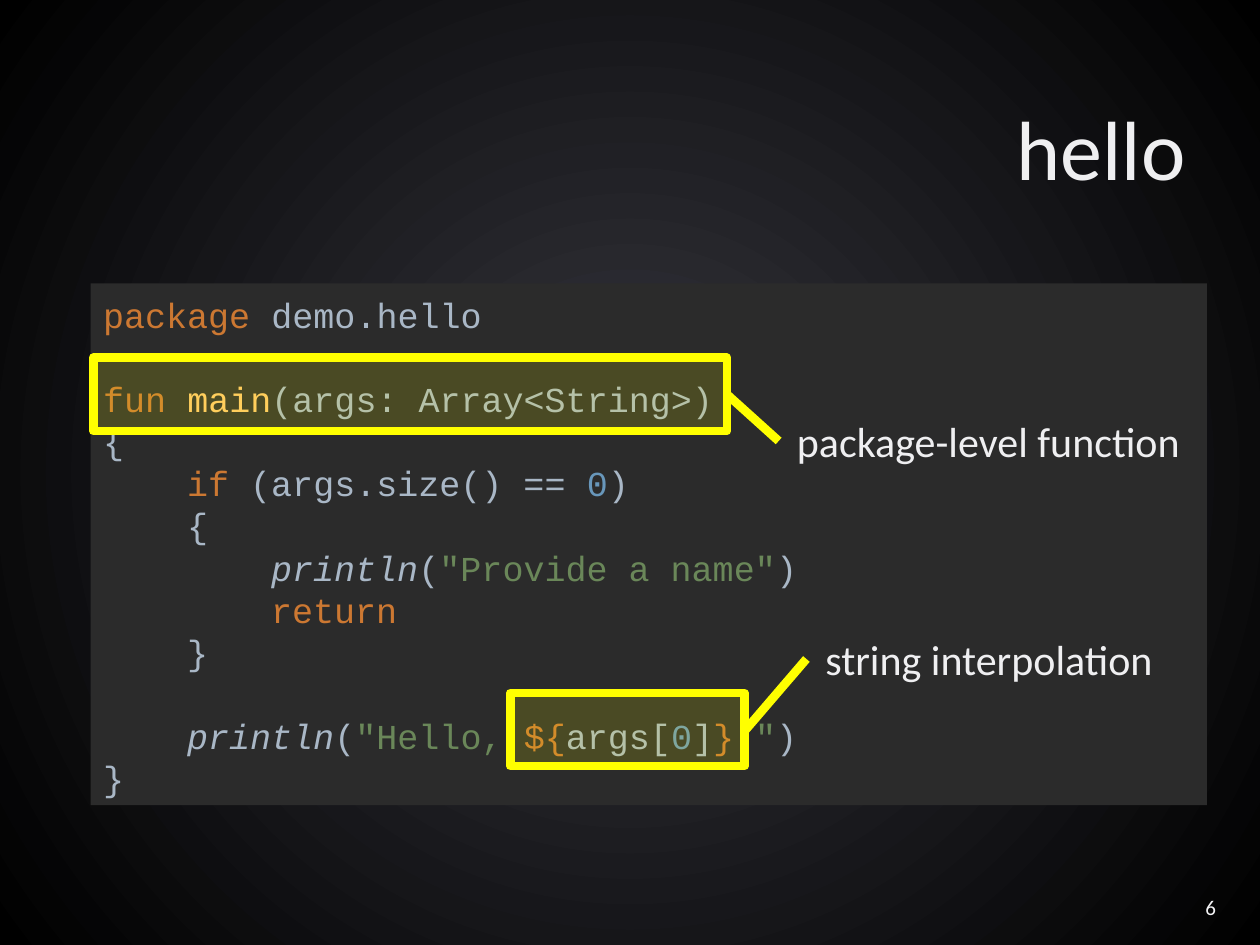
from lxml import etree
from pptx import Presentation
from pptx.dml.color import RGBColor
from pptx.enum.shapes import MSO_CONNECTOR, MSO_SHAPE
from pptx.enum.text import MSO_ANCHOR, MSO_AUTO_SIZE, PP_ALIGN
from pptx.oxml.ns import qn
from pptx.util import Inches, Pt

RECT, STRAIGHT = MSO_SHAPE.RECTANGLE, MSO_CONNECTOR.STRAIGHT
LEFT, CENTER, RIGHT = PP_ALIGN.LEFT, PP_ALIGN.CENTER, PP_ALIGN.RIGHT
MIDDLE, BOTTOM = MSO_ANCHOR.MIDDLE, MSO_ANCHOR.BOTTOM
NO_FIT = MSO_AUTO_SIZE.NONE

GLOW, BLACK = RGBColor(0x36, 0x36, 0x3E), RGBColor(0, 0, 0)
LIGHT = RGBColor(0xEF, 0xEF, 0xF1)
NUMBER_GREY = RGBColor(0xF3, 0xF3, 0xF5)
PANEL = RGBColor(0x2B, 0x2B, 0x2B)
YELLOW = RGBColor(0xFF, 0xFF, 0)
KEYWORD = RGBColor(0xCC, 0x78, 0x32)
PLAIN = RGBColor(0xA9, 0xB7, 0xC6)
NAME = RGBColor(0xFF, 0xC6, 0x6D)
NUMBER = RGBColor(0x68, 0x97, 0xBB)
STRING = RGBColor(0x6A, 0x87, 0x59)

CODE_SIZE = 20
LINE_PITCH = Pt(24.1)
INDENT = Pt(4 * 0.6 * CODE_SIZE)  # four monospaced characters


def add_run(p, text, size, color, font="Calibri"):
    r = p.add_run()
    r.text = text
    r.font.size = Pt(size)
    r.font.name = font
    r.font.color.rgb = color
    return r


def write_label(sp, text, size, color, align, anchor=None):
    tf = sp.text_frame
    tf.word_wrap = True
    tf.auto_size = NO_FIT
    tf.vertical_anchor = anchor
    p = tf.paragraphs[0]
    p.alignment = align
    add_run(p, text, size, color)


prs = Presentation()
prs.slide_width, prs.slide_height = Inches(10), Inches(7.5)
s = prs.slides.add_slide(prs.slide_layouts[5])

# Background: circular gradient from the centre
fill = s.background.fill
fill.gradient()
for stop, color in zip(fill.gradient_stops, (GLOW, BLACK)):
    stop.color.rgb = color
grad = s.element.find(".//" + qn("a:gradFill"))
grad.remove(grad.find(qn("a:lin")))
circle = etree.SubElement(grad, qn("a:path"), path="circle")
etree.SubElement(circle, qn("a:fillToRect"), l="50000", t="50000", r="50000", b="50000")

# Title and slide number
title = s.shapes.title
title.left, title.top, title.width, title.height = map(Inches, (0.51, 0.75, 9, 0.83))
write_label(title, "hello", 48, LIGHT, RIGHT, MIDDLE)
number = s.shapes.add_textbox(*map(Inches, (9.08, 7, 0.67, 0.4)))
write_label(number, "6", 12, NUMBER_GREY, RIGHT, MIDDLE)

# Code panel: indent level, lines skipped above, coloured runs
code = [
    (0, 0, [("package ", KEYWORD), ("demo.hello", PLAIN)]),
    (0, 1, [("fun ", KEYWORD), ("main", NAME), ("(args: Array<String>)", PLAIN)]),
    (0, 0, [("{", PLAIN)]),
    (1, 0, [("if ", KEYWORD), ("(args.size() == ", PLAIN), ("0", NUMBER), (")", PLAIN)]),
    (1, 0, [("{", PLAIN)]),
    (2, 0, [("println", PLAIN), ("(", PLAIN), ('"Provide a name"', STRING), (")", PLAIN)]),
    (2, 0, [("return", KEYWORD)]),
    (1, 0, [("}", PLAIN)]),
    (1, 1, [("println", PLAIN), ("(", PLAIN), ('"Hello, ', STRING), ("${", KEYWORD),
            ("args[", PLAIN), ("0", NUMBER), ("]", PLAIN), ("}", KEYWORD),
            ('!"', STRING), (")", PLAIN)]),
    (0, 0, [("}", PLAIN)]),
]
panel = s.shapes.add_shape(RECT, *map(Inches, (0.72, 2.25, 8.86, 4.14)))
panel.shadow.inherit = False
panel.fill.solid()
panel.fill.fore_color.rgb = PANEL
panel.line.fill.background()
tf = panel.text_frame
tf.word_wrap = True
tf.vertical_anchor = BOTTOM
for i, (level, skipped, runs) in enumerate(code):
    p = tf.add_paragraph() if i else tf.paragraphs[0]
    p.alignment = LEFT
    p.line_spacing = LINE_PITCH
    p.space_before = skipped * LINE_PITCH
    pPr = p._p.get_or_add_pPr()
    pPr.set("marL", str(level * INDENT))
    pPr.set("indent", "0")
    for text, color in runs:
        r = add_run(p, text, CODE_SIZE, color, "Courier New")
        r.font.italic = text == "println"

# Callouts: highlight box, label box, connector ends
callouts = [
    ("package-level function", (0.74, 2.84, 5.03, 0.58), (6.18, 3.25, 3.33, 0.5),
     (5.77, 3.13, 6.18, 3.5)),
    ("string interpolation", (4.05, 5.5, 1.86, 0.58), (6.4, 4.98, 2.9, 0.5),
     (5.92, 5.79, 6.4, 5.23)),
]
for text, box, label_box, ends in callouts:
    group = s.shapes.add_group_shape()
    highlight = group.shapes.add_shape(RECT, *map(Inches, box))
    highlight.shadow.inherit = False
    highlight.fill.solid()
    highlight.fill.fore_color.rgb = YELLOW
    color = highlight._element.spPr.find(qn("a:solidFill")).find(qn("a:srgbClr"))
    etree.SubElement(color, qn("a:alpha"), val="15000")
    label = group.shapes.add_textbox(*map(Inches, label_box))
    write_label(label, text, 24, LIGHT, CENTER)
    pointer = group.shapes.add_connector(STRAIGHT, *map(Inches, ends))
    etree.SubElement(pointer._element.spPr, qn("a:effectLst"))
    for sp in (highlight, pointer):
        sp.line.color.rgb = YELLOW
        sp.line.width = Pt(5)

prs.save("out.pptx")
